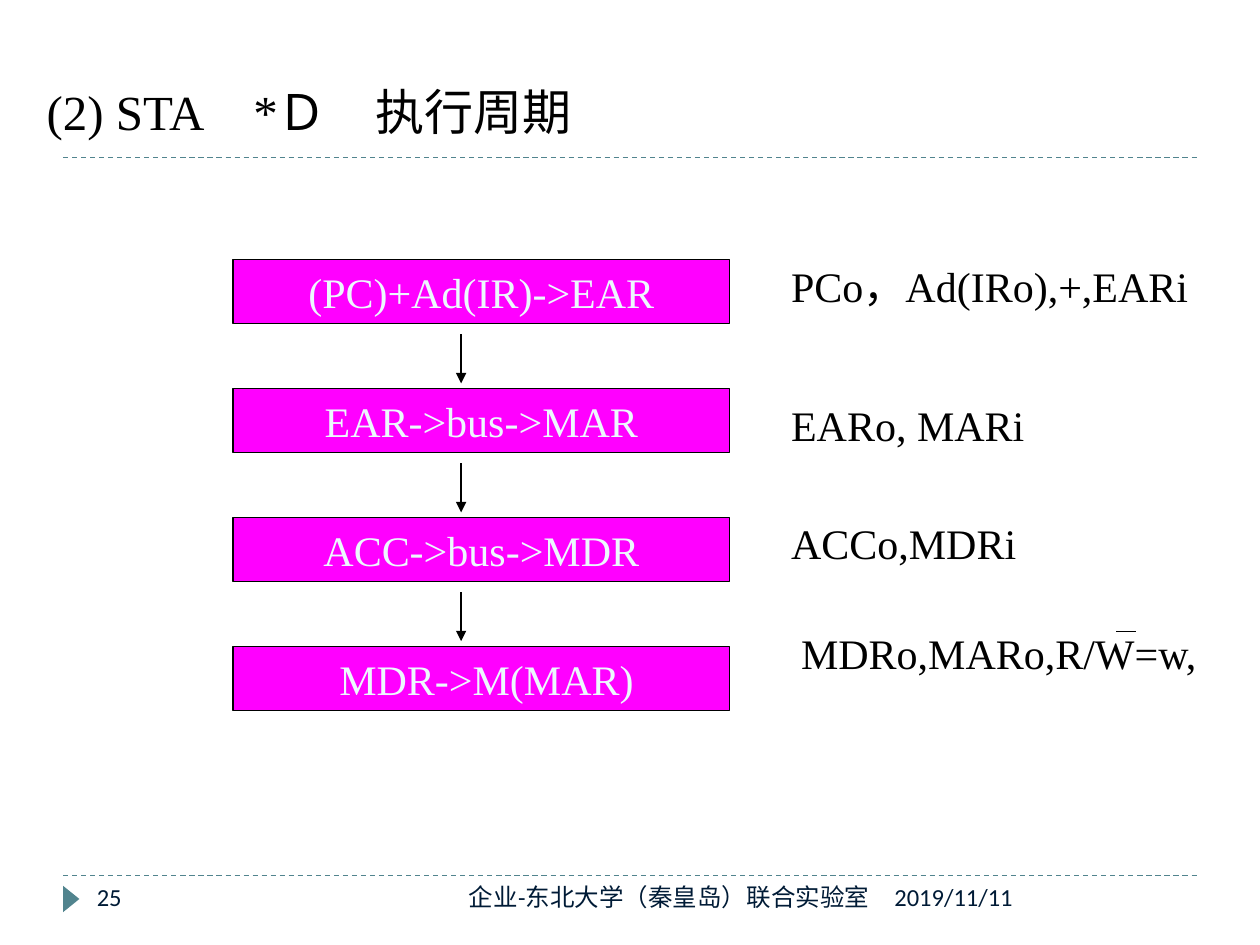
"""Build the slide on the execute cycle of an indexed store."""
from dataclasses import dataclass

from lxml import etree
from pptx import Presentation
from pptx.dml.color import RGBColor
from pptx.enum import dml, shapes, text
from pptx.oxml import ns
from pptx.util import Inches, Pt

SERIF = "Times New Roman"
TEAL, NAVY, BLACK = "51848E", "001B36", "000000"
LEFT, TOP, WIDE, HIGH, STEP = 1.85, 2.06, 3.94, 0.51, 1.023
ARROW = 3.66


@dataclass
class Step:
    """A micro-operation with its control signals and their place."""
    name: str
    signals: str
    x: float
    y: float
    width: float
    inset: float = 0.1


STEPS = [
    Step("(PC)+Ad(IR)->EAR", "PCo，Ad(IRo),+,EARi", 6.18, 2.02, 3.62),
    Step("EAR->bus->MAR", "EARo, MARi", 6.18, 3.12, 2.28),
    Step("ACC->bus->MDR", "ACCo,MDRi", 6.18, 4.06, 2.28),
    Step("MDR->M(MAR)", "MDRo,MARo,R/W=w,", 6.26, 4.93, 3.54, 0.18),
]


def tint(code: str) -> RGBColor:
    """Turn a hex string into a colour."""
    return RGBColor.from_string(code)


def place(shape, x: float, y: float, w: float, h: float) -> None:
    """Move and size a shape."""
    shape.left, shape.top = Inches(x), Inches(y)
    shape.width, shape.height = Inches(w), Inches(h)


def write(shape, words: str, size: int = 24, font: str = SERIF,
          color: str = BLACK, align=text.PP_ALIGN.LEFT,
          anchor=text.MSO_ANCHOR.TOP, inset: float = 0.1) -> None:
    """Put formatted text into a shape."""
    frame = shape.text_frame
    frame.word_wrap = True
    frame.auto_size = text.MSO_AUTO_SIZE.NONE
    frame.vertical_anchor = anchor
    frame.margin_left = Inches(inset)
    para = frame.paragraphs[0]
    para.alignment = align
    run = para.add_run()
    run.text = words
    run.font.size, run.font.name = Pt(size), font
    run.font.color.rgb = tint(color)


def label(slide, words: str, x: float, y: float, w: float, h: float,
          **style) -> None:
    """Add a text box."""
    box = slide.shapes.add_textbox(Inches(x), Inches(y), Inches(w), Inches(h))
    write(box, words, **style)


def solid(slide, kind, x: float, y: float, w: float, h: float, color: str):
    """Add a filled shape without outline or shadow."""
    shape = slide.shapes.add_shape(
        kind, Inches(x), Inches(y), Inches(w), Inches(h))
    shape.shadow.inherit = False
    shape.fill.solid()
    shape.fill.fore_color.rgb = tint(color)
    shape.line.fill.background()
    return shape


def rule(slide, x1: float, y1: float, x2: float, y2: float,
         color: str = BLACK, dash: bool = False, head: bool = False) -> None:
    """Add a straight line, dashed or with an arrowhead on request."""
    line = slide.shapes.add_connector(
        shapes.MSO_CONNECTOR.STRAIGHT,
        Inches(x1), Inches(y1), Inches(x2), Inches(y2))
    line.line.color.rgb = tint(color)
    line.line.width = Pt(0.75)
    if dash:
        line.line.dash_style = dml.MSO_LINE.DASH
    props = line.element.spPr
    if head:
        etree.SubElement(props.find(ns.qn("a:ln")), ns.qn("a:tailEnd"),
                         type="triangle")
    etree.SubElement(props, ns.qn("a:effectLst"))


def draw(slide, step: Step, row: int) -> None:
    """Draw one step, its signals and the arrow leading to it."""
    y = TOP + row * STEP
    box = solid(slide, shapes.MSO_SHAPE.RECTANGLE, LEFT, y, WIDE, HIGH,
                "FF00FF")
    box.line.color.rgb = tint(BLACK)
    box.line.width = Pt(0.75)
    write(box, step.name, color="EDF8FE", align=text.PP_ALIGN.CENTER,
          anchor=text.MSO_ANCHOR.MIDDLE, inset=step.inset)
    label(slide, step.signals, step.x, step.y, step.width, 0.5)
    if row:
        rule(slide, ARROW, y - 0.43, ARROW, y - 0.04, head=True)


def main() -> None:
    """Build and save the deck."""
    deck = Presentation()
    deck.slide_width, deck.slide_height = Inches(10), Inches(7.5)
    slide = deck.slides.add_slide(deck.slide_layouts[5])

    for y in (1.25, 6.95):
        rule(slide, 0.5, y, 9.5, y, color=TEAL, dash=True)
    mark = solid(slide, shapes.MSO_SHAPE.ISOSCELES_TRIANGLE,
                 0.46, 7.07, 0.21, 0.13, TEAL)
    mark.rotation = 90

    title = slide.shapes.title
    place(title, 0.27, 0.6, 9.14, 0.57)
    write(title, "(2) STA　*Ｄ　执行周期", size=28)

    for row, step in enumerate(STEPS):
        draw(slide, step, row)
    rule(slide, 8.86, 5.01, 9.02, 5.01)

    foot = dict(size=14, font="Calibri", color=NAVY)
    label(slide, "25", 0.67, 6.95, 2.17, 0.4, **foot)
    label(slide, "企业-东北大学（秦皇岛）联合实验室", 3.17, 6.95, 3.83, 0.4,
          align=text.PP_ALIGN.RIGHT, **foot)
    label(slide, "2019/11/11", 7, 6.95, 2.5, 0.4, **foot)
    deck.save("out.pptx")


if __name__ == "__main__":
    main()
